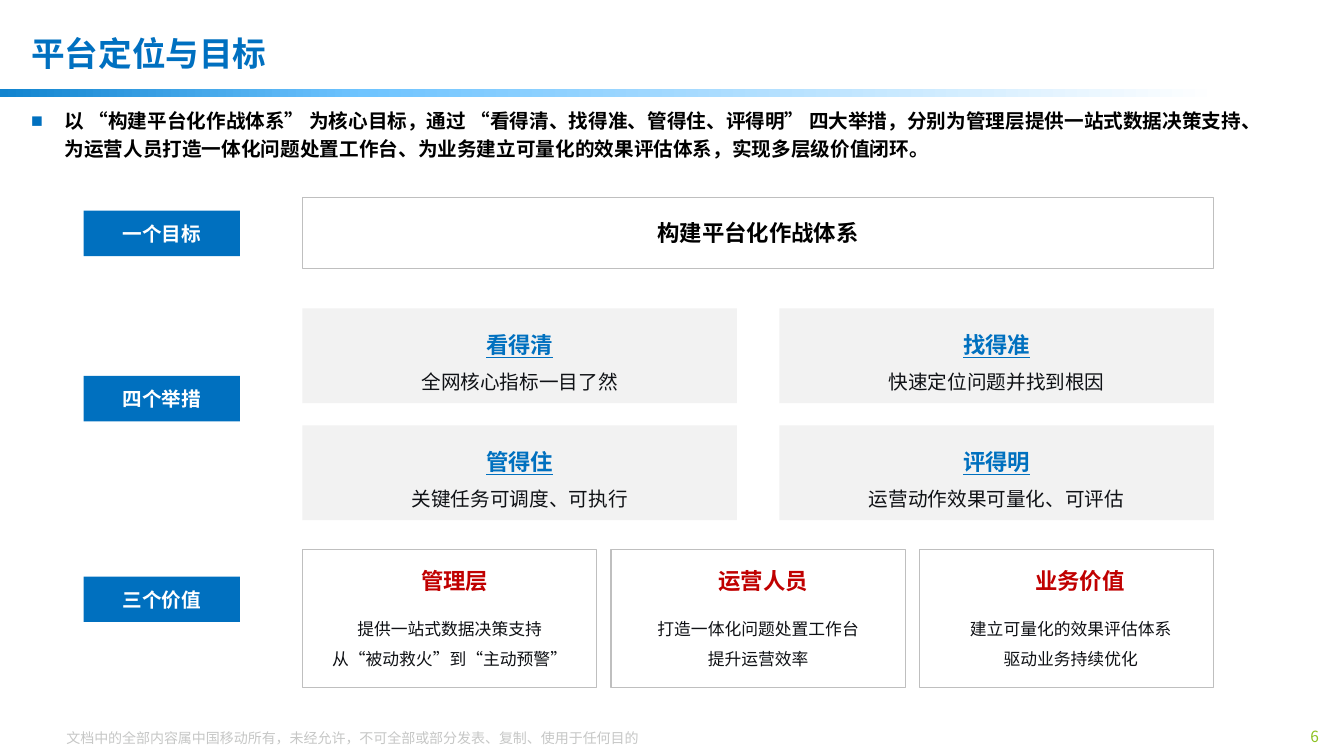
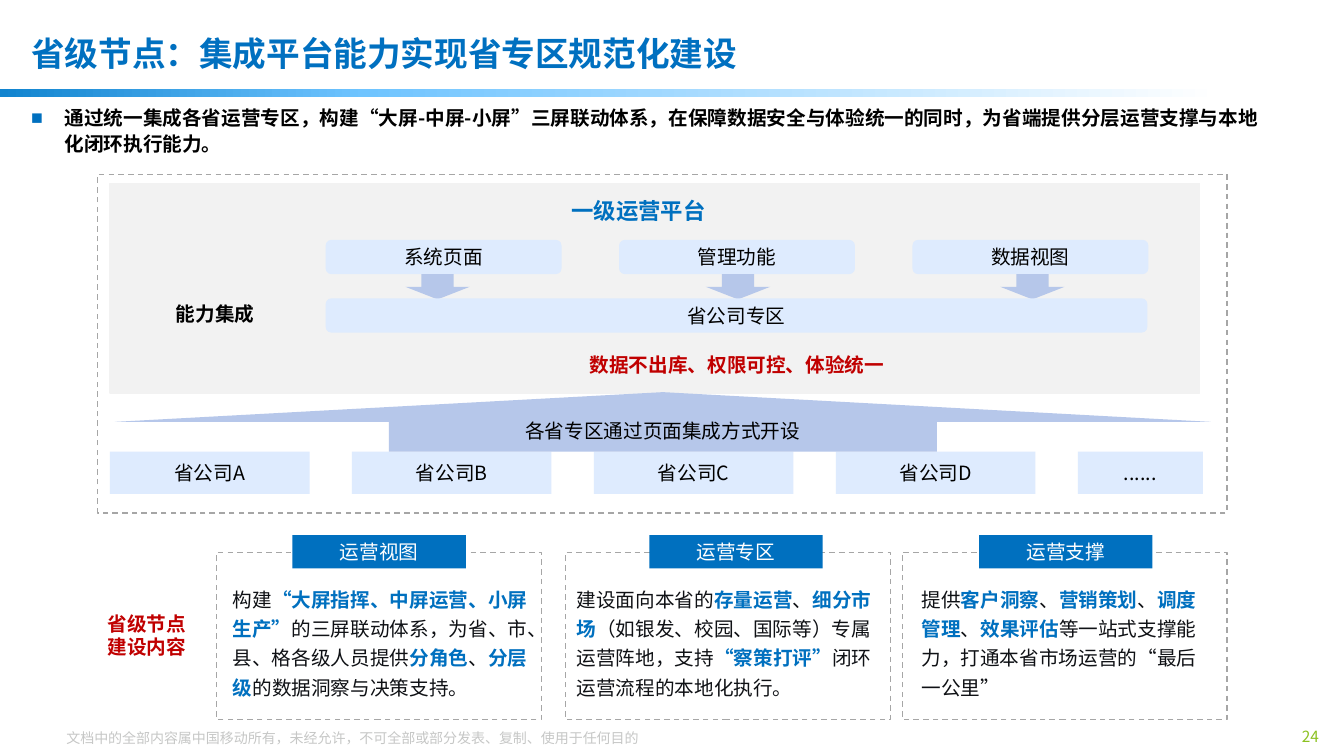
import pptx
import pptx.util
import pptx.dml.color
from lxml import etree
from pptx.enum.dml import MSO_LINE
from pptx.enum.lang import MSO_LANGUAGE_ID
from pptx.enum.shapes import MSO_SHAPE
from pptx.enum.text import MSO_ANCHOR, MSO_AUTO_SIZE, PP_ALIGN
from pptx.oxml.ns import qn

# Shared style
FONT = "Noto Sans CJK SC"
TITLE_BLUE, BLUE, PALE_BLUE, ARROW_BLUE = "0070C0", "0070BF", "DEEBFE", "B6C7EA"
RED, BLACK, INK, WHITE = "C00000", "000000", "0F1115", "FFFFFF"
PANEL_GRAY, BORDER_GRAY, DASH_GRAY = "F2F2F2", "BFBFBF", "A6A6A6"
FOOTER_GRAY, NUMBER_GREEN = "C6C7C6", "8CC121"
BAR_STOPS = [(0, "1184CF"), (30, "6FC4FF"), (100, WHITE)]
FOOTER = "文档中的全部内容属中国移动所有，未经允许，不可全部或部分发表、复制、使用于任何目的"
LEFT, CENTER, RIGHT = PP_ALIGN.LEFT, PP_ALIGN.CENTER, PP_ALIGN.RIGHT

# Content of the goals slide
GOALS_TITLE = "平台定位与目标"
GOALS_SUMMARY = (
    "以 “构建平台化作战体系” 为核心目标，通过 “看得清、找得准、管得住、评得明” 四大举措，"
    "分别为管理层提供一站式数据决策支持、为运营人员打造一体化问题处置工作台、"
    "为业务建立可量化的效果评估体系，实现多层级价值闭环。")
ROW_LABELS = [("一个目标", 2.09), ("四个举措", 3.73), ("三个价值", 5.72)]
GOAL = "构建平台化作战体系"
MEASURES = [
    ("看得清", "全网核心指标一目了然"),
    ("找得准", "快速定位问题并找到根因"),
    ("管得住", "关键任务可调度、可执行"),
    ("评得明", "运营动作效果可量化、可评估"),
]
# Heading, lines, shift of the heading, shift of the lines
VALUES = [
    ("管理层", ["提供一站式数据决策支持", "从“被动救火”到“主动预警”"], 0.05, 0),
    ("运营人员", ["打造一体化问题处置工作台", "提升运营效率"], 0.05, 0),
    ("业务价值", ["建立可量化的效果评估体系", "驱动业务持续优化"], 0.13, 0.04),
]

# Content of the province slide; text between bars is highlighted
PROVINCE_TITLE = "省级节点：集成平台能力实现省专区规范化建设"
PROVINCE_SUMMARY = (
    "通过统一集成各省运营专区，构建“大屏-中屏-小屏”三屏联动体系，"
    "在保障数据安全与体验统一的同时，为省端提供分层运营支撑与本地化闭环执行能力。")
# Capability, left edge of its arrow
CAPABILITIES = [("系统页面", 4.02), ("管理功能", 7), ("数据视图", 9.92)]
COMPANIES = ["省公司A", "省公司B", "省公司C", "省公司D", "......"]
# Tag, text, then left edges of frame, tag and text, and the text width
PANELS = [
    ("运营视图", "构建|“大屏指挥、中屏运营、小屏生产”|的三屏联动体系，为省、市、县、格各级人员提供"
     "|分角色|、|分层级|的数据洞察与决策支持。", 2.15, 2.9, 2.21, 3.19),
    ("运营专区", "建设面向本省的|存量运营|、|细分市场|（如银发、校园、国际等）专属运营阵地，支持"
     "|“察策打评”|闭环运营流程的本地化执行。", 5.61, 6.44, 5.62, 3.19),
    ("运营支撑", "提供|客户洞察|、|营销策划|、|调度管理|、|效果评估|等一站式支撑能力，"
     "打通本省市场运营的“最后一公里”", 8.95, 9.71, 9.04, 2.98),
]


def rgb(value):
    return pptx.dml.color.RGBColor.from_string(value)


def inches(*lengths):
    return [pptx.util.Inches(length) for length in lengths]


def format_paragraph(paragraph, size, color, bold=False, align=LEFT, spacing=1.0, underline=False):
    paragraph.alignment = align
    paragraph.line_spacing = spacing
    paragraph.space_before = pptx.util.Pt(0)
    font = paragraph.font
    font.name, font.size, font.bold = FONT, pptx.util.Pt(size), bold
    font.underline = underline
    font.color.rgb = rgb(color)
    font.language_id = MSO_LANGUAGE_ID.SIMPLIFIED_CHINESE
    defaults = paragraph._p.get_or_add_pPr().find(qn("a:defRPr"))
    etree.SubElement(defaults, qn("a:ea"), typeface=FONT)


def write(frame, lines, *style, **options):
    """Write lines in one style; text between bars becomes bold blue."""
    for index, line in enumerate(lines):
        paragraph = frame.add_paragraph() if index else frame.paragraphs[0]
        for part, text in enumerate(line.split("|")):
            run = paragraph.add_run()
            run.text = text
            if part % 2:
                run.font.bold = True
                run.font.color.rgb = rgb(BLUE)
        format_paragraph(paragraph, *style, **options)


def add_text(slide, box, lines, *style, wrap=True, anchor=MSO_ANCHOR.TOP, **options):
    frame = slide.shapes.add_textbox(*inches(*box)).text_frame
    frame.word_wrap = wrap
    frame.vertical_anchor = anchor
    write(frame, lines, *style, **options)


def add_box(slide, box, fill=None, line=None, width=0.75, dashed=False, kind=MSO_SHAPE.RECTANGLE):
    shape = slide.shapes.add_shape(kind, *inches(*box))
    shape.shadow.inherit = False
    if fill:
        shape.fill.solid()
        shape.fill.fore_color.rgb = rgb(fill)
    else:
        shape.fill.background()
    if line:
        shape.line.color.rgb = rgb(line)
        shape.line.width = pptx.util.Pt(width)
        if dashed:
            shape.line.dash_style = MSO_LINE.DASH
    else:
        shape.line.fill.background()
    frame = shape.text_frame
    frame.word_wrap = True
    frame.vertical_anchor = MSO_ANCHOR.MIDDLE
    frame.margin_left = frame.margin_right = frame.margin_top = frame.margin_bottom = 0
    return shape


def add_label(slide, box, text, fill, color, size=14, bold=False, **options):
    shape = add_box(slide, box, fill, **options)
    write(shape.text_frame, [text], size, color, bold, align=CENTER)


def place(placeholder, box):
    placeholder.left, placeholder.top, placeholder.width, placeholder.height = inches(*box)
    placeholder.text_frame.auto_size = MSO_AUTO_SIZE.NONE
    placeholder.text_frame.word_wrap = True
    return placeholder.text_frame


def add_bullet(paragraph):
    properties = paragraph._p.get_or_add_pPr()
    indent = pptx.util.Inches(0.33)
    properties.set("marL", str(indent))
    properties.set("indent", str(-indent))
    color = etree.SubElement(properties, qn("a:buClr"))
    etree.SubElement(color, qn("a:srgbClr"), val=BLUE)
    etree.SubElement(properties, qn("a:buFont"), typeface="Arial")
    etree.SubElement(properties, qn("a:buChar"), char="■")
    tabs = etree.SubElement(properties, qn("a:tabLst"))
    etree.SubElement(tabs, qn("a:tab"), pos=str(pptx.util.Inches(0.39)), algn="l")


def add_gradient_bar(slide):
    bar = add_box(slide, (0, 0.88, 12.09, 0.08))
    bar.fill.gradient()
    bar.fill.gradient_angle = 0
    stops = bar._element.spPr.find(".//" + qn("a:gsLst"))
    stops.clear()
    for position, color in BAR_STOPS:
        stop = etree.SubElement(stops, qn("a:gs"), pos=str(position * 1000))
        etree.SubElement(stop, qn("a:srgbClr"), val=color)


def start_slide(presentation, title, summary, number, spacing):
    slide = presentation.slides.add_slide(presentation.slide_layouts[1])
    add_text(slide, (0.56, 7.19, 11.71, 0.27), [FOOTER], 10, FOOTER_GRAY, anchor=MSO_ANCHOR.MIDDLE)
    add_gradient_bar(slide)
    add_text(slide, (12.69, 7.17, 0.49, 0.27), [str(number)], 11, NUMBER_GREEN,
             align=RIGHT, wrap=False, anchor=MSO_ANCHOR.MIDDLE)
    frame = place(slide.shapes.title, (0.21, 0.2, 10.41, 0.7))
    frame.vertical_anchor = MSO_ANCHOR.MIDDLE
    write(frame, [title], 24, TITLE_BLUE, True, spacing=0.9)
    frame = place(slide.placeholders[1], (0.21, 0.98, 12.5, 0.83))
    frame.vertical_anchor = MSO_ANCHOR.TOP
    add_bullet(frame.paragraphs[0])
    write(frame, [summary], 14, BLACK, True, spacing=spacing)
    return slide


def build_goals(presentation):
    slide = start_slide(presentation, GOALS_TITLE, GOALS_SUMMARY, 6, 1.2)
    left, width = 3, 9.04
    for text, top in ROW_LABELS:
        add_label(slide, (0.83, top, 1.55, 0.45), text, BLUE, WHITE, bold=True)
    add_label(slide, (left, 1.96, width, 0.7), GOAL, None, BLACK, 16, True, line=BORDER_GRAY)

    # Two by two measures
    cell_width, cell_height = 4.31, 0.94
    for index, (heading, detail) in enumerate(MEASURES):
        row, column = divmod(index, 2)
        box = (left + column * (width - cell_width), 3.06 + row * 1.16, cell_width, cell_height)
        frame = add_box(slide, box, PANEL_GRAY).text_frame
        write(frame, [heading], 16, BLUE, True, align=CENTER, spacing=1.5, underline=True)
        paragraph = frame.add_paragraph()
        paragraph.add_run().text = detail
        format_paragraph(paragraph, 14, INK, align=CENTER, spacing=1.5)

    # Three value cards
    card_width = 2.92
    step = (width - card_width) / 2
    for index, (heading, lines, heading_shift, lines_shift) in enumerate(VALUES):
        card_left = left + index * step
        add_box(slide, (card_left, 5.45, card_width, 1.37), line=BORDER_GRAY)
        add_text(slide, (card_left + heading_shift, 5.58, card_width, 0.37), [heading],
                 16, RED, True, align=CENTER)
        add_text(slide, (card_left + lines_shift, 5.99, card_width, 0.71), lines,
                 12, INK, align=CENTER, spacing=1.5)


def build_province(presentation):
    slide = start_slide(presentation, PROVINCE_TITLE, PROVINCE_SUMMARY, 24, 1.09)

    # Platform area
    add_box(slide, (1.09, 1.82, 10.81, 2.08), PANEL_GRAY, PANEL_GRAY, 1)
    add_text(slide, (5.57, 1.91, 1.86, 0.37), ["一级运营平台"], 16, BLUE, True)
    add_text(slide, (1.54, 2.95, 1.19, 0.34), ["能力集成"], 14, BLACK, True, align=CENTER)
    rounded = MSO_SHAPE.ROUNDED_RECTANGLE
    for index, (text, arrow_left) in enumerate(CAPABILITIES):
        add_label(slide, (3.23 + index * 2.91, 2.38, 2.34, 0.34), text, PALE_BLUE, BLACK, kind=rounded)
        add_box(slide, (arrow_left, 2.72, 0.64, 0.25), ARROW_BLUE, kind=MSO_SHAPE.DOWN_ARROW)
    add_label(slide, (3.23, 2.96, 8.15, 0.34), "省公司专区", PALE_BLUE, BLACK, kind=rounded)
    add_text(slide, (3.55, 3.45, 7.52, 0.34), ["数据不出库、权限可控、体验统一"],
             14, RED, True, align=CENTER)

    # Provincial companies feeding the platform
    for index, text in enumerate(COMPANIES):
        width = 1.24 if index == len(COMPANIES) - 1 else 1.98
        add_label(slide, (1.09 + index * 2.4, 4.48, width, 0.42), text, PALE_BLUE, BLACK)
    add_box(slide, (1.14, 3.89, 10.87, 0.59), ARROW_BLUE, kind=MSO_SHAPE.UP_ARROW)
    add_text(slide, (4.81, 4.11, 3.53, 0.34), ["各省专区通过页面集成方式开设"], 14, BLACK, align=CENTER)
    add_box(slide, (0.97, 1.73, 11.2, 3.36), line=DASH_GRAY, width=1, dashed=True)

    # What each province builds
    add_text(slide, (0.97, 6.02, 0.98, 0.57), ["省级节点", "建设内容"], 14, RED, True, wrap=False)
    for tag, text, frame_left, tag_left, text_left, text_width in PANELS:
        add_box(slide, (frame_left, 5.48, 3.22, 1.66), line=DASH_GRAY, width=1, dashed=True)
        add_label(slide, (tag_left, 5.31, 1.72, 0.33), tag, BLUE, WHITE)
        add_text(slide, (text_left, 5.72, text_width, 1.28), [text], 14, INK, spacing=1.25)


def main():
    presentation = pptx.Presentation()
    presentation.slide_width, presentation.slide_height = inches(13.33, 7.5)
    build_goals(presentation)
    build_province(presentation)
    presentation.save("out.pptx")


if __name__ == "__main__":
    main()
